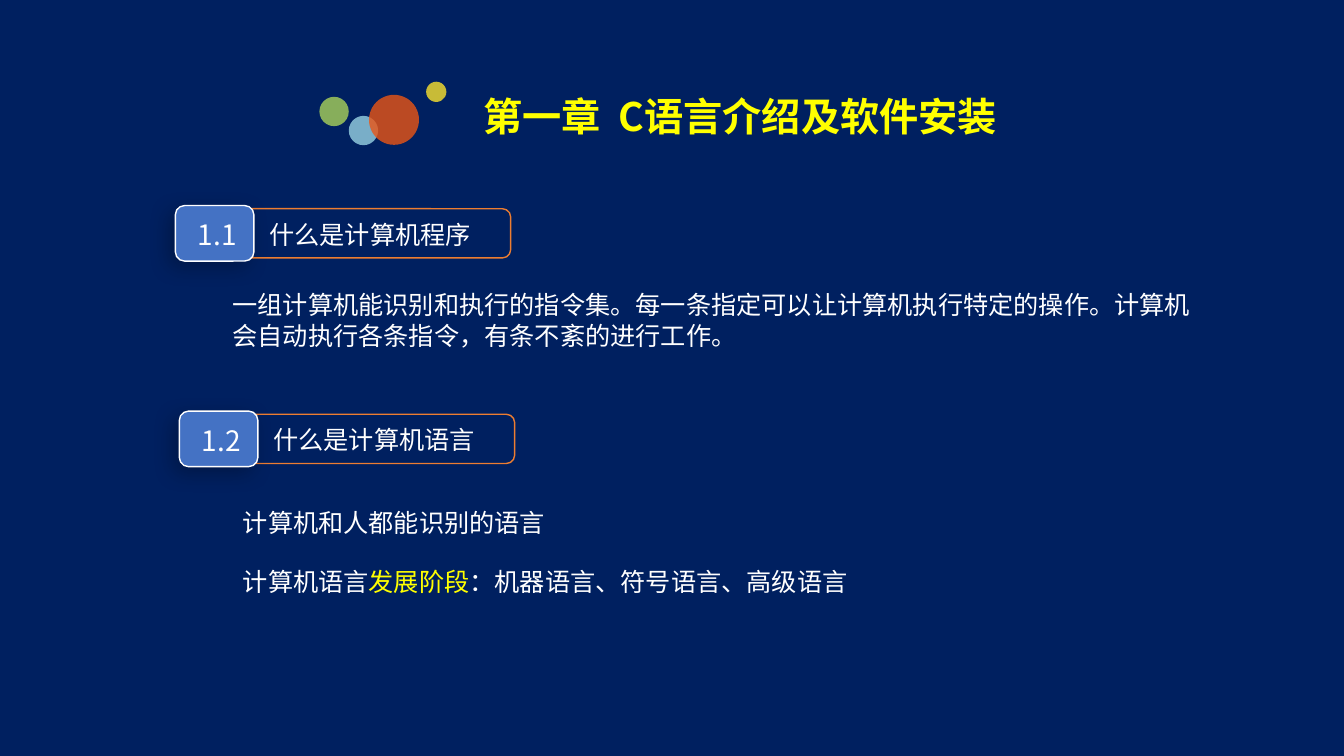
from lxml.etree import SubElement
from pptx import Presentation
from pptx.dml.color import RGBColor
from pptx.enum.shapes import MSO_SHAPE
from pptx.enum.text import MSO_ANCHOR, MSO_AUTO_SIZE, PP_ALIGN
from pptx.oxml.ns import qn
from pptx.util import Cm, Pt

NAVY = RGBColor(0x00, 0x20, 0x60)
WHITE = RGBColor(0xFF, 0xFF, 0xFF)
YELLOW = RGBColor(0xFF, 0xFF, 0x00)
ORANGE = RGBColor(0xED, 0x7D, 0x31)
BLUE = RGBColor(0x44, 0x72, 0xC4)
LEMON = RGBColor(0xFB, 0xE2, 0x2D)
GREEN = RGBColor(0xA9, 0xD2, 0x5A)
SKY = RGBColor(0x98, 0xD2, 0xE3)
RED = RGBColor(0xEA, 0x55, 0x14)

FONT_SC = "Noto Sans CJK SC"
FONT_JP = "Noto Sans CJK JP"
LINE_HEIGHT = 1.22


def write_text(shape, *parts, size=18, font=FONT_SC, color=WHITE, bold=False,
               align=PP_ALIGN.LEFT, anchor=MSO_ANCHOR.TOP, insets=(0.25, 0.13)):
    """Fill a shape with one paragraph; a part is text or (text, color)."""
    frame = shape.text_frame
    frame.word_wrap = True
    frame.auto_size = MSO_AUTO_SIZE.NONE
    frame.vertical_anchor = anchor
    frame.margin_left = frame.margin_right = Cm(insets[0])
    frame.margin_top = frame.margin_bottom = Cm(insets[1])
    paragraph = frame.paragraphs[0]
    paragraph.alignment = align
    paragraph.line_spacing = Pt(round(size * LINE_HEIGHT))
    for part in parts:
        text, part_color = part if isinstance(part, tuple) else (part, color)
        run = paragraph.add_run()
        run.text = text
        run.font.size = Pt(size)
        run.font.bold = bold
        run.font.name = font
        run.font.color.rgb = part_color
        SubElement(run.font._element, qn("a:ea"), typeface=font)


class ChapterSlide:
    def __init__(self, presentation):
        self.slide = presentation.slides.add_slide(presentation.slide_layouts[5])
        self.slide.background.fill.solid()
        self.slide.background.fill.fore_color.rgb = NAVY

    def title(self, text, left, top, width, height):
        title = self.slide.shapes.title
        title.left, title.top = Cm(left), Cm(top)
        title.width, title.height = Cm(width), Cm(height)
        write_text(title, text, size=28, color=YELLOW, bold=True)

    def text(self, box, *parts, **text_format):
        text_box = self.slide.shapes.add_textbox(*map(Cm, box))
        write_text(text_box, *parts, **text_format)

    def shape(self, kind, box, fill=None, line=None, shapes=None):
        shapes = shapes or self.slide.shapes
        shape = shapes.add_shape(kind, *map(Cm, box))
        shape.shadow.inherit = False
        if fill is None:
            shape.fill.background()
        else:
            shape.fill.solid()
            shape.fill.fore_color.rgb = fill
        if line is None:
            shape.line.fill.background()
        else:
            shape.line.color.rgb = line
            shape.line.width = Pt(1)
        return shape

    def bubble(self, left, top, size, color):
        circle = self.shape(MSO_SHAPE.OVAL, (left, top, size, size), fill=color)
        fill_color = circle._element.spPr.find(qn("a:solidFill"))[0]
        SubElement(fill_color, qn("a:alpha"), val="80000")

    def drop_shadow(self, shape):
        effects = shape._element.spPr.find(qn("a:effectLst"))
        shadow = SubElement(effects, qn("a:outerShdw"), blurRad=str(Pt(15)),
                            dist=str(Pt(6)), dir=str(135 * 60000), rotWithShape="0")
        color = SubElement(shadow, qn("a:srgbClr"), val="000000")
        SubElement(color, qn("a:alpha"), val="25000")

    def section(self, left, top, number, heading):
        shapes = self.slide.shapes.add_group_shape().shapes
        rounded = MSO_SHAPE.ROUNDED_RECTANGLE
        # Outlined heading
        self.shape(rounded, (left + 0.3, top + 0.08, 8.15, 1.24),
                   line=ORANGE, shapes=shapes)
        label = self.shape(rounded, (left + 1.98, top + 0.1, 6.32, 1.22), shapes=shapes)
        write_text(label, heading, font=FONT_JP, anchor=MSO_ANCHOR.MIDDLE,
                   insets=(0.33, 0.18))
        # Number badge
        badge = self.shape(rounded, (left, top, 1.98, 1.4),
                           fill=BLUE, line=WHITE, shapes=shapes)
        self.drop_shadow(badge)
        label = self.shape(rounded, (left + 0.18, top + 0.26, 1.75, 0.94), shapes=shapes)
        write_text(label, number, size=20, align=PP_ALIGN.CENTER,
                   anchor=MSO_ANCHOR.MIDDLE, insets=(0, 0))


def main():
    presentation = Presentation()
    presentation.slide_width, presentation.slide_height = Cm(33.87), Cm(19.05)
    chapter = ChapterSlide(presentation)

    # Chapter title with bubbles
    chapter.title("第一章  C语言介绍及软件安装", 11.94, 2.18, 13.74, 1.45)
    for bubble in ((10.74, 2.06, 0.51, LEMON), (8.05, 2.44, 0.74, GREEN),
                   (8.79, 2.92, 0.74, SKY), (9.3, 2.39, 1.26, RED)):
        chapter.bubble(*bubble)

    # Section 1.1
    chapter.section(4.42, 5.18, "1.1", "什么是计算机程序")
    chapter.text((5.61, 7.14, 24.84, 1.8),
                 "一组计算机能识别和执行的指令集。每一条指定可以让计算机执行特定的操作。"
                 "计算机会自动执行各条指令，有条不紊的进行工作。", font=FONT_JP)

    # Section 1.2
    chapter.section(4.52, 10.36, "1.2", "什么是计算机语言")
    chapter.text((5.87, 12.65, 8.3, 1.02), "计算机和人都能识别的语言")
    chapter.text((5.87, 14.12, 16, 1.02), "计算机语言", ("发展阶段", YELLOW),
                 "：机器语言、符号语言、高级语言")

    presentation.save("out.pptx")


if __name__ == "__main__":
    main()
